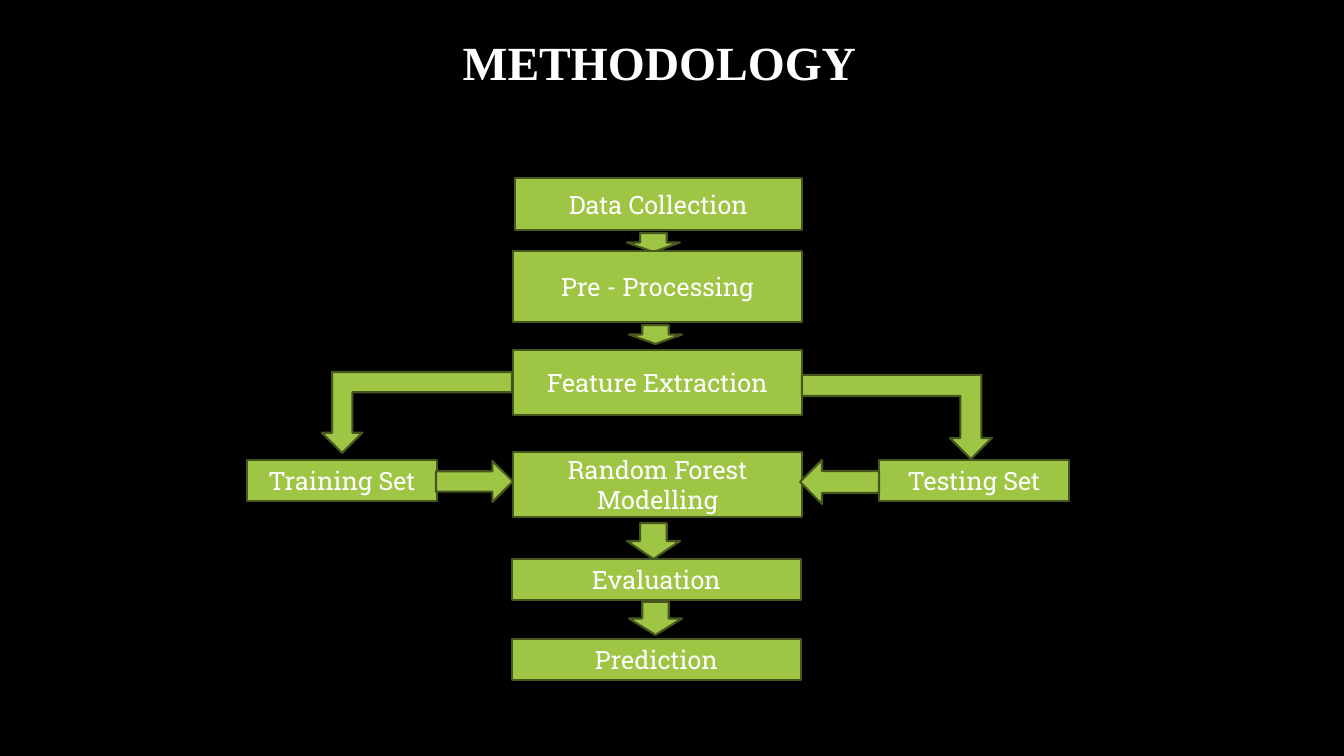
from pptx import Presentation
from pptx.dml.color import RGBColor
from pptx.enum.shapes import MSO_SHAPE
from pptx.enum.text import MSO_ANCHOR, MSO_AUTO_SIZE, PP_ALIGN
from pptx.util import Emu, Pt

RECT = MSO_SHAPE.RECTANGLE
DOWN = MSO_SHAPE.DOWN_ARROW
BENT = MSO_SHAPE.BENT_UP_ARROW
RIGHT = MSO_SHAPE.RIGHT_ARROW
LEFT = MSO_SHAPE.LEFT_ARROW
MID = MSO_ANCHOR.MIDDLE
NO_FIT = MSO_AUTO_SIZE.NONE
CENTER = PP_ALIGN.CENTER
SCALE = 914400 / 100.8


def px(n):
    return Emu(round(n * SCALE))


def color(code):
    return RGBColor.from_string(code)


GREEN = color("9EC544")
EDGE = color("45561E")
WHITE = color("FFFFFF")
HEAD = {"name": "Times New Roman", "size": Pt(34), "bold": True}
BODY = {"name": "Roboto Slab", "size": Pt(18), "bold": False}

deck = Presentation()
deck.slide_width, deck.slide_height = px(1344), px(756)
slide = deck.slides.add_slide(deck.slide_layouts[5])
back = slide.background.fill
back.solid()
back.fore_color.rgb = color("000000")

title = slide.shapes.title
title.left, title.top, title.width, title.height = px(89), px(24), px(1141), px(82)
labels = [(title, "METHODOLOGY", HEAD)]

parts = [
    (RECT, 515, 178, 287, 52, "Data Collection", ""),
    (RECT, 513, 350, 289, 65, "Feature Extraction", ""),
    (RECT, 513, 452, 289, 65, "Random Forest Modelling", ""),
    (RECT, 512, 559, 289, 41, "Evaluation", ""),
    (RECT, 247, 460, 190, 41, "Training Set", ""),
    (RECT, 879, 460, 190, 41, "Testing Set", ""),
    (RECT, 512, 639, 289, 41, "Prediction", ""),
    (DOWN, 627, 233, 53, 19, "", ""),
    (DOWN, 629, 325, 53, 19, "", ""),
    (DOWN, 627, 523, 53, 36, "", ""),
    (DOWN, 629, 602, 53, 33, "", ""),
    (BENT, 802, 375, 190, 84, "", "V"),
    (BENT, 322, 372, 190, 81, "", "HV"),
    (RIGHT, 436, 461, 77, 41, "", ""),
    (LEFT, 800, 460, 79, 44, "", ""),
    (RECT, 513, 251, 289, 71, "Pre - Processing", ""),
]
for kind, x, y, w, h, text, flips in parts:
    shape = slide.shapes.add_shape(kind, px(x), px(y), px(w), px(h))
    shape.shadow.inherit = False
    shape.fill.solid()
    shape.fill.fore_color.rgb = GREEN
    shape.line.color.rgb = EDGE
    shape.line.width = Pt(1.5)
    for side in flips:
        shape.element.spPr.get_or_add_xfrm().set("flip" + side, "1")
    if text:
        labels.append((shape, text, BODY))

for shape, text, style in labels:
    frame = shape.text_frame
    frame.text = text
    frame.word_wrap = True
    frame.auto_size = NO_FIT
    frame.vertical_anchor = MID
    para = frame.paragraphs[0]
    para.alignment = CENTER
    font = para.runs[0].font
    font.color.rgb = WHITE
    for key, value in style.items():
        setattr(font, key, value)
title.text_frame.paragraphs[0].line_spacing = 0.9

deck.save("out.pptx")
